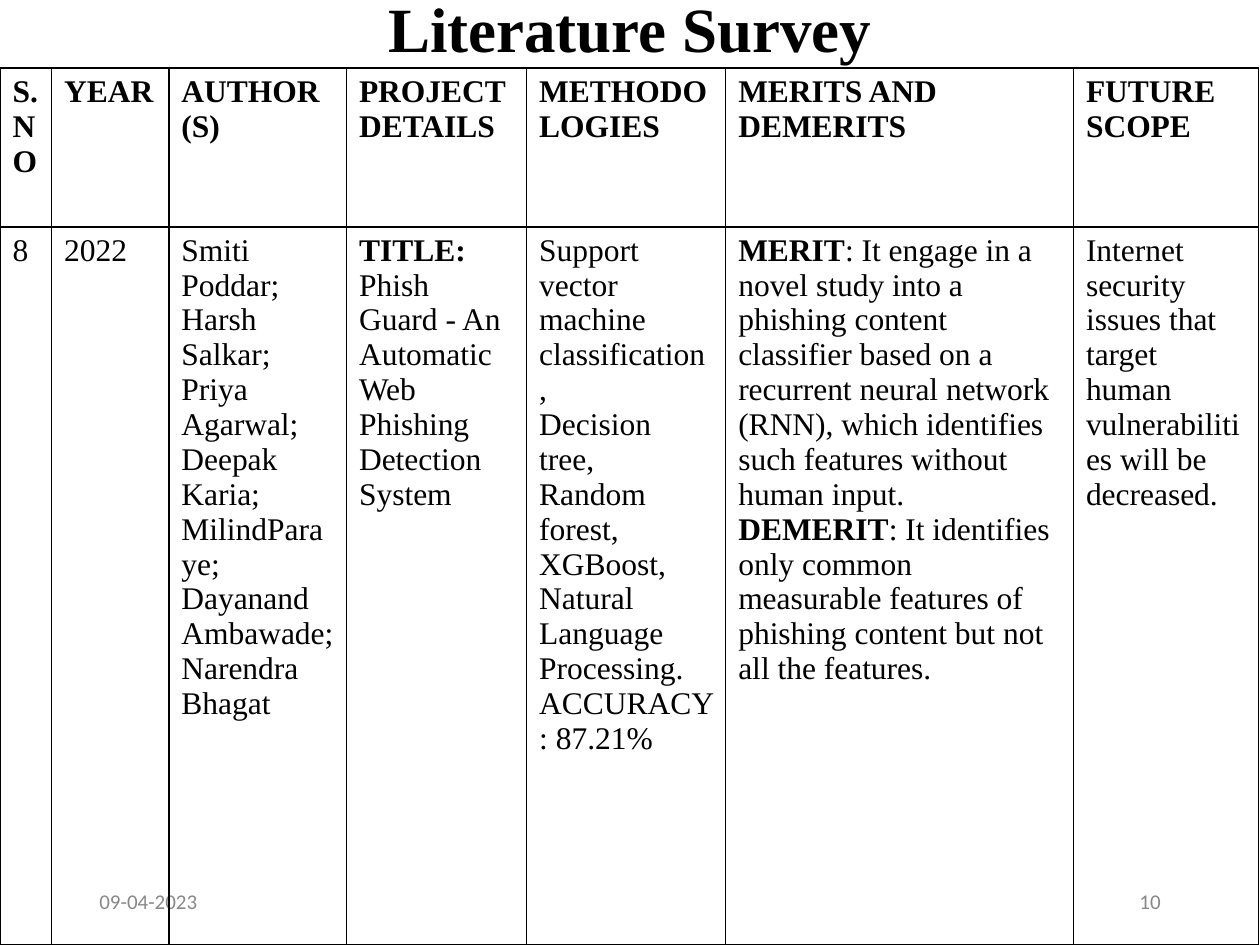
"""Build the literature survey slide with its table, date and page number."""
from lxml import etree
from pptx import Presentation
from pptx.dml.color import RGBColor
from pptx.enum.text import MSO_ANCHOR, MSO_AUTO_SIZE, PP_ALIGN
from pptx.oxml.ns import qn
from pptx.util import Inches, Pt

MIDDLE = MSO_ANCHOR.MIDDLE
NO_AUTOFIT = MSO_AUTO_SIZE.NONE
LEFT, CENTER, RIGHT = PP_ALIGN.LEFT, PP_ALIGN.CENTER, PP_ALIGN.RIGHT
SERIF, SANS = "Times New Roman", "Calibri"
BLACK, GRAY = "000000", "888888"


def add_run(paragraph, text, size, font, color, bold=False):
    run = paragraph.add_run()
    run.text = text
    run.font.size = Pt(size)
    run.font.name = font
    run.font.bold = bold
    run.font.color.rgb = RGBColor.from_string(color)


def add_border(cell):
    properties = cell._tc.get_or_add_tcPr()
    for position, side in enumerate(("lnL", "lnR", "lnT", "lnB")):
        line = etree.Element(qn(f"a:{side}"), w=str(Pt(1)))
        fill = etree.SubElement(line, qn("a:solidFill"))
        etree.SubElement(fill, qn("a:srgbClr"), val=BLACK)
        properties.insert(position, line)


prs = Presentation()
prs.slide_width, prs.slide_height = Inches(10), Inches(7.5)
slide = prs.slides.add_slide(prs.slide_layouts[5])

title = slide.shapes.title
title.left, title.top = Inches(0.69), Inches(0.13)
title.width, title.height = Inches(8.62), Inches(0.25)
heading = title.text_frame
heading.auto_size = NO_AUTOFIT
heading.vertical_anchor = MIDDLE
heading.paragraphs[0].alignment = CENTER
heading.paragraphs[0].line_spacing = 0.9
add_run(heading.paragraphs[0], "Literature Survey", 36, SERIF, BLACK, True)

for text, left, alignment in (("09-04-2023", 0.69, LEFT), ("10", 7.06, RIGHT)):
    footer = slide.shapes.add_textbox(
        Inches(left), Inches(6.95), Inches(2.25), Inches(0.4)).text_frame
    footer.word_wrap = True
    footer.vertical_anchor = MIDDLE
    footer.paragraphs[0].alignment = alignment
    add_run(footer.paragraphs[0], text, 12, SANS, GRAY)

columns = [
    (0.41, ["S.", "NO"], [("", "8")]),
    (0.93, ["YEAR"], [("", "2022")]),
    (1.41, ["AUTHOR (S)"], [
        ("", "Smiti Poddar;"), ("", "Harsh Salkar;"), ("", "Priya Agarwal;"),
        ("", "Deepak Karia;"), ("", "MilindParaye;"), ("", "Dayanand"),
        ("", "Ambawade;"), ("", "Narendra Bhagat")]),
    (1.43, ["PROJECT DETAILS"], [
        ("TITLE: ", "Phish"), ("", "Guard - An"), ("", "Automatic"), ("", "Web"),
        ("", "Phishing"), ("", "Detection"), ("", "System")]),
    (1.58, ["METHODOLOGIES"], [
        ("", "Support vector machine classification,"), ("", "Decision tree,"),
        ("", "Random forest,"), ("", "XGBoost,"),
        ("", "Natural Language Processing."), ("", "ACCURACY : 87.21%")]),
    (2.76, ["MERITS AND DEMERITS"], [
        ("MERIT", ": It engage in a novel study into a phishing content classifier "
                  "based on a recurrent neural network (RNN), which identifies such "
                  "features without human input."),
        ("DEMERIT", ": It identifies only common measurable features of phishing "
                    "content but not all the features.")]),
    (1.47, ["FUTURE SCOPE"], [
        ("", "Internet security issues that target human vulnerabilities "
             "will be decreased.")]),
]
row_heights = (1.26, 5.7)

survey = slide.shapes.add_table(
    len(row_heights), len(columns), Inches(0), Inches(0.54),
    Inches(10), Inches(sum(row_heights))).table
survey.first_row = survey.horz_banding = False
for row, height in zip(survey.rows, row_heights):
    row.height = Inches(height)

for column, (width, header, entry) in enumerate(columns):
    survey.columns[column].width = Inches(width)
    for row, lines in enumerate(([(text, "") for text in header], entry)):
        cell = survey.cell(row, column)
        cell.fill.background()
        add_border(cell)
        for index, (strong, plain) in enumerate(lines):
            frame = cell.text_frame
            paragraph = frame.add_paragraph() if index else frame.paragraphs[0]
            for text, bold in ((strong, True), (plain, False)):
                if text:
                    add_run(paragraph, text, 18, SERIF, BLACK, bold)

prs.save("out.pptx")
